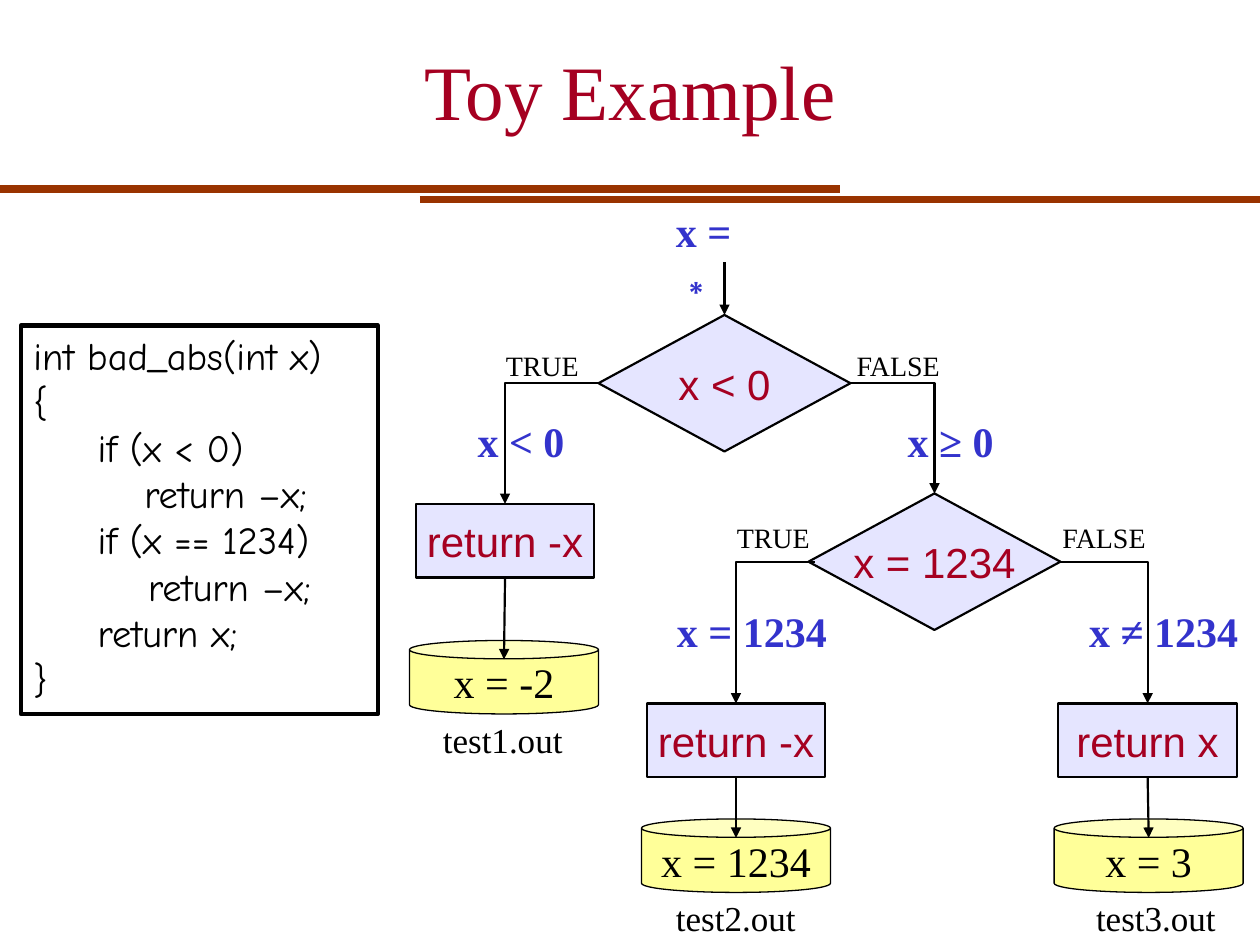
from pptx import Presentation
from pptx.util import Inches, Pt
from pptx.dml.color import RGBColor
from pptx.enum.shapes import MSO_SHAPE as Kind, MSO_CONNECTOR as Link
from pptx.enum.text import PP_ALIGN as Align, MSO_ANCHOR as Anchor, MSO_AUTO_SIZE as Fit
from pptx.oxml.ns import qn
from lxml.etree import SubElement as sub

SERIF, SANS, COMIC = "Times New Roman", "Arial", "Comic Neue"
BLACK, RED, BLUE, LILAC = "000000", "A50021", "3333CC", "CCCCFF"
YELLOW, BROWN = "FFFF99", "993300"

deck = Presentation()
deck.slide_width, deck.slide_height = Inches(10), Inches(7.5)
slide = deck.slides.add_slide(deck.slide_layouts[6])
shapes = slide.shapes


def grid(*cells):
    return [Inches(cell / 12) for cell in cells]


def color(text):
    return RGBColor.from_string(text)


def style(run, size, font, tint, bold=False):
    run.font.size, run.font.name, run.font.bold = Pt(size), font, bold
    run.font.color.rgb = color(tint)


def label(box, text, size, tint=BLACK, bold=False, before=None):
    item = shapes.add_textbox(*grid(*box))
    frame = item.text_frame
    frame.text, frame.word_wrap = text, False
    frame.auto_size = Fit.SHAPE_TO_FIT_TEXT
    para = frame.paragraphs[0]
    para.space_before = Pt(size / 4 if before is None else before)
    for run in para.runs:
        style(run, size, SERIF, tint, bold)
    return para


def block(kind, box, fill, width, alpha=None):
    item = shapes.add_shape(kind, *grid(*box))
    item.shadow.inherit = False
    item.line.color.rgb, item.line.width = color(BLACK), Pt(width)
    if fill:
        item.fill.solid()
        item.fill.fore_color.rgb = color(fill)
    else:
        item.fill.background()
    if alpha:
        tint = item._element.spPr.find(qn("a:solidFill"))[0]
        sub(tint, qn("a:alpha")).set("val", str(alpha * 1000))
    return item


def node(kind, box, text, fill=LILAC, font=SANS, tint=RED, width=1.25, alpha=50):
    item = block(kind, box, fill, width, alpha)
    frame = item.text_frame
    frame.text, frame.word_wrap = text, False
    frame.vertical_anchor = Anchor.MIDDLE
    para = frame.paragraphs[0]
    para.alignment, para.space_before = Align.CENTER, Pt(6)
    style(para.runs[0], 24, font, tint)


def line(start, end, tint=BLACK, width=1.25, bent=False, head=True):
    kind = Link.ELBOW if bent else Link.STRAIGHT
    item = shapes.add_connector(kind, *grid(*start, *end))
    item.line.color.rgb, item.line.width = color(tint), Pt(width)
    props = item._element.spPr
    if bent:
        props.find(qn("a:prstGeom")).set("prst", "bentConnector2")
    if head:
        sub(props.find(qn("a:ln")), qn("a:tailEnd")).set("type", "triangle")
    sub(props, qn("a:effectLst"))


def header(left, top, wide, high):
    line((0, 18), (80, 18), BROWN, 4.51, head=False)
    line((40, 19), (120, 19), BROWN, 4.51, head=False)
    frame = shapes.add_textbox(*grid(left, top, wide, high)).text_frame
    frame.text, frame.word_wrap = "Toy Example", True
    frame.vertical_anchor = Anchor.MIDDLE
    frame.paragraphs[0].alignment = Align.CENTER
    style(frame.paragraphs[0].runs[0], 44, SERIF, RED)


def code(box, rows):
    item = block(Kind.RECTANGLE, box, None, 2.49)
    frame = item.text_frame
    frame.vertical_anchor, frame.word_wrap = Anchor.TOP, True
    frame.text = "\n".join(text for _, text in rows)
    for para, (indent, _) in zip(frame.paragraphs, rows):
        para.alignment = Align.LEFT
        para._p.get_or_add_pPr().set("marL", str(Inches(indent)))
        style(para.runs[0], 22, COMIC, BLACK)


def choice(left, top, test, ends, tags, drop, low, inset=0):
    mid = top + 6.5
    node(Kind.DIAMOND, (left, top, 24, 13), test)
    starts = (left + inset, left + 24)
    for start, (x, y, text, wide), tag, (dx, width) in zip(
            starts, ends, ("TRUE", "FALSE"), tags):
        line((start, mid), (x, y), bent=True)
        label((left + dx, top + drop, width, 4.4), tag, 16)
        para = label((x + 1.6 - wide / 2, top + low, wide, 6.1),
                     text, 24, BLUE, True)
        para.runs[0].font.name = SERIF


def leaf(left, top, text, value, name, gap, shift, side):
    node(Kind.RECTANGLE, (left, top, 17, 7), text)
    can = left + shift
    node(Kind.CAN, (can, top + gap, 18, 7), value,
         YELLOW, SERIF, BLACK, 0.74, None)
    line((left + 8.5, top + 7), (can + 9, top + gap + 1.8))
    label((left + side, top + gap + 6.8, 13.8, 5.3), name, 20)


header(7, 1, 106, 15)
code((2, 31, 34, 37), [
    (0, "int bad_abs(int x)"), (0, "{"), (0.51, "if (x < 0)"),
    (0.88, "return –x;"), (0.51, "if (x == 1234)"),
    (0.91, "return –x;"), (0.51, "return x;"), (0, "}")])
start = label((63.2, 19, 10.8, 6.1), "x =\v∗", 24, BLUE, True)
style(start.runs[1], 24, SANS, BLUE)
line((69, 25), (69, 30))
choice(57, 30, "x < 0",
       [(48.1, 48, "x < 0", 10.8), (89, 47, "x ≥ 0", 10.7)],
       [(-10, 9.4), (23.4, 10.6)], 2.6, 9)
choice(77, 47, "x = 1234",
       [(70.1, 67, "x = 1234", 16.8), (109.3, 67, "x ≠ 1234", 16.7)],
       [(-8, 9.4), (23, 10.6)], 2, 10.1, 0.6)
leaf(39.6, 48, "return -x", "x = -2", "test1.out", 13, -0.6, 1.4)
leaf(61.6, 67, "return -x", "x = 1234", "test2.out", 11, -0.5, 1.6)
leaf(100.8, 67, "return x", "x = 3", "test3.out", 11, -0.4, 2.4)

deck.save("out.pptx")
